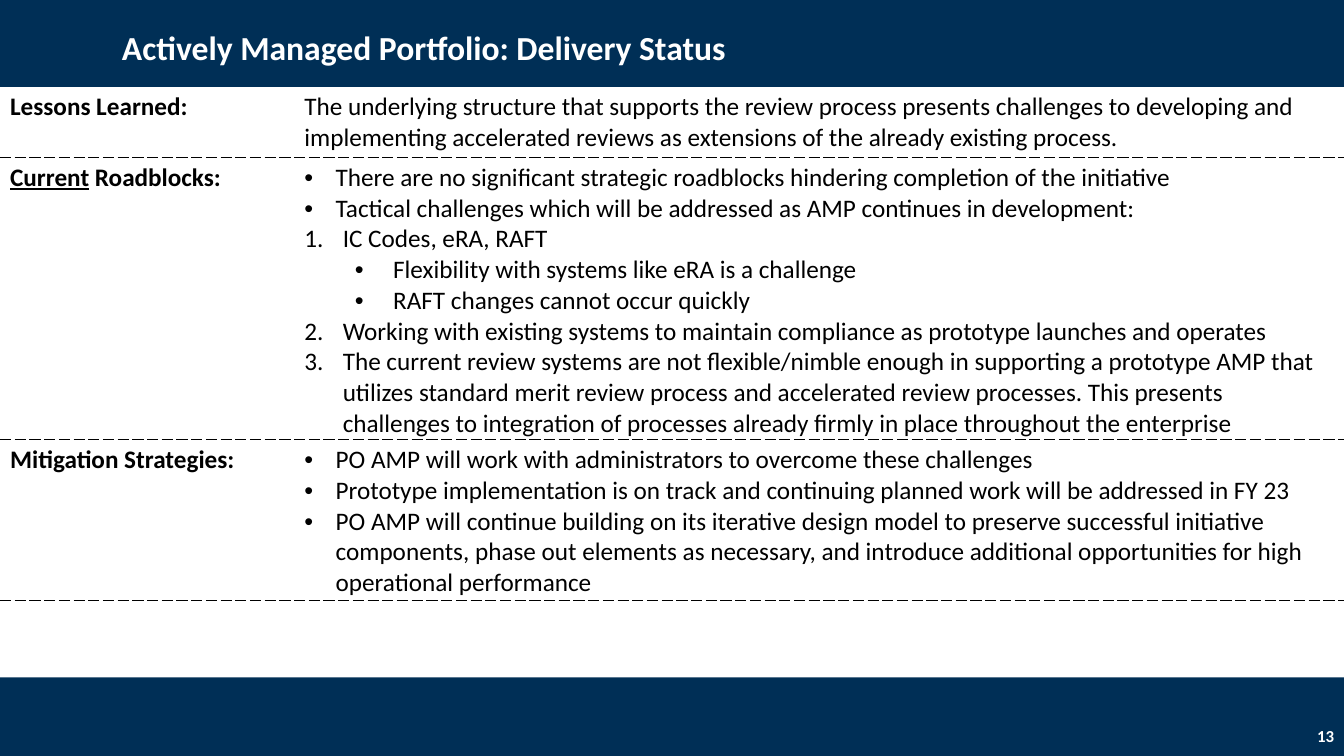
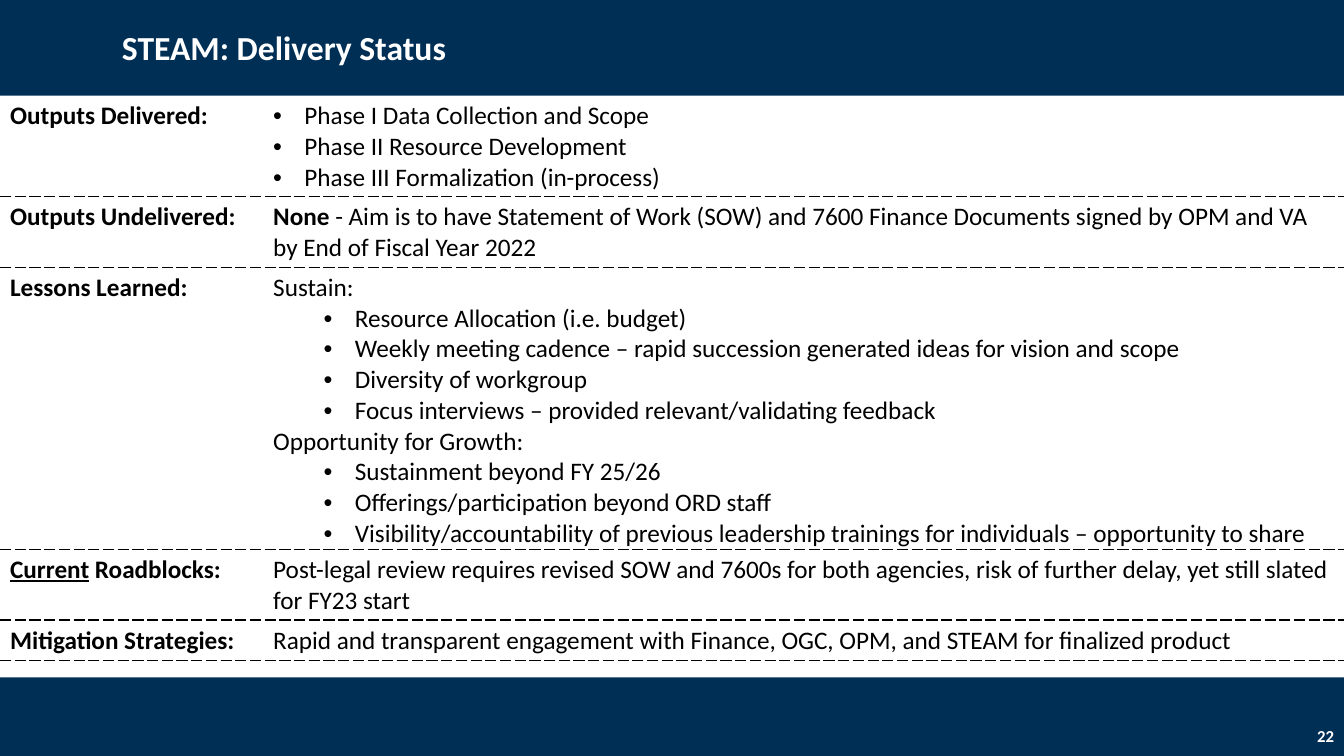
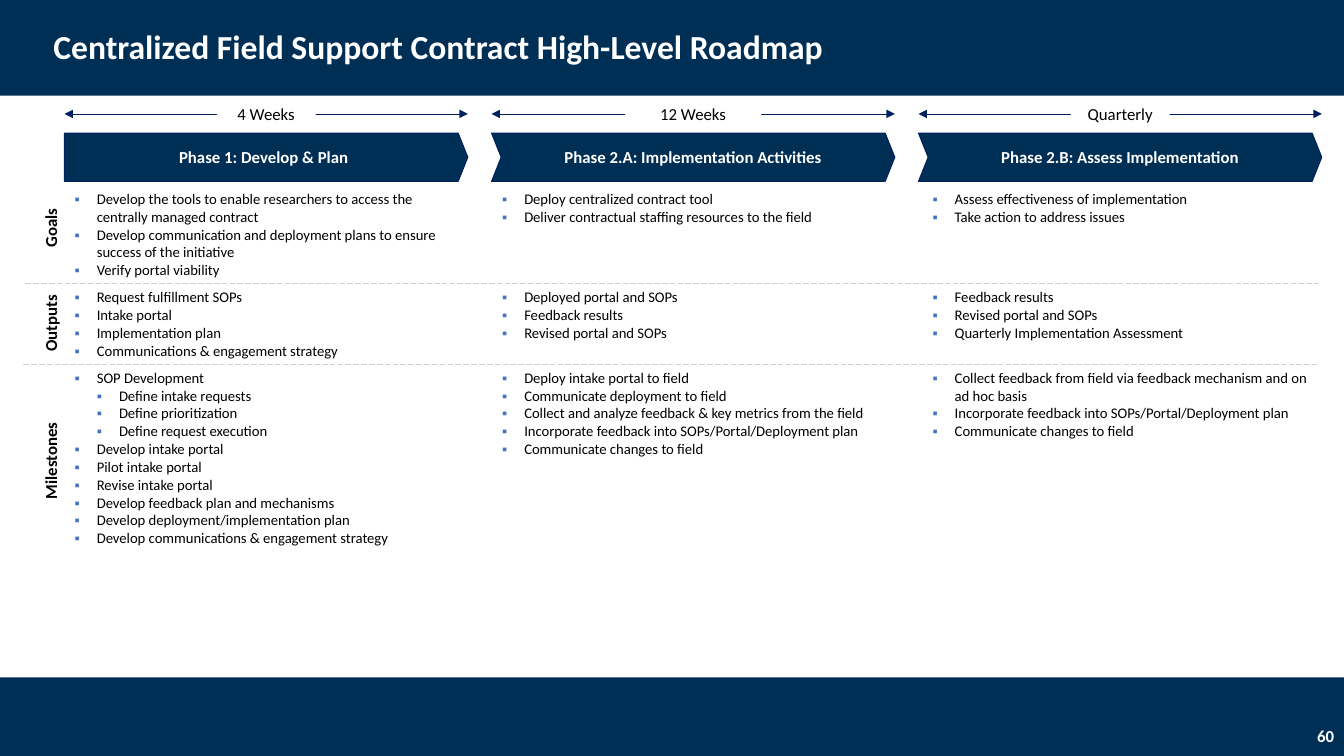
"""Build three status slides: two delivery tables and a phased roadmap."""
from dataclasses import dataclass
from typing import NamedTuple, Optional

from lxml.etree import SubElement
from pptx import Presentation
from pptx.dml.color import RGBColor
from pptx.enum.dml import MSO_LINE
from pptx.enum.shapes import MSO_CONNECTOR, MSO_SHAPE
from pptx.enum.text import MSO_ANCHOR, MSO_AUTO_SIZE, PP_ALIGN
from pptx.oxml.ns import qn
from pptx.util import Inches, Pt

W, H = 13.33, 7.5
TOP_BAND, BOTTOM_BAND = 0.95, 0.78


@dataclass(frozen=True)
class Theme:
    """Colours, font and type sizes of the deck."""
    navy: str = "002F56"
    outline: str = "002060"
    white: str = "FFFFFF"
    black: str = "000000"
    rule: str = "D0CECE"
    bullet: str = "4472C4"
    font: str = "Calibri"
    title: float = 24
    body: float = 18
    label: float = 12
    small: float = 10.5


T = Theme()


class Bullet(NamedTuple):
    """List marker with its indent, hanging width and level."""
    indent: float
    hang: float
    level: int = 0
    char: Optional[str] = "•"
    color: Optional[str] = None


DOT = Bullet(0.31, 0.31)
NUMBER = Bullet(0.38, 0.38, char=None)
NUMBER_DOT = Bullet(0.88, 0.38, 1)
SUB_DOT = Bullet(0.81, 0.31, 1)
SQUARE = Bullet(0.22, 0.22, 1, "▪", T.bullet)
SUB_SQUARE = Bullet(0.44, 0.22, 2, "▪", T.bullet)


@dataclass(frozen=True)
class Para:
    """Paragraph with an optional emphasised lead and a marker."""
    text: str
    bullet: Optional[Bullet] = None
    lead: str = ""


@dataclass(frozen=True)
class StatusRow:
    """One labelled row of a delivery table."""
    height: float
    label: Para
    body: list[Para]


@dataclass(frozen=True)
class Status:
    """One delivery status slide."""
    title: str
    number: int
    top: float
    label_width: float
    rows: list[StatusRow]


@dataclass(frozen=True)
class Phase:
    """One roadmap column."""
    name: str
    duration: str
    duration_width: float
    cells: list[list[Para]]


@dataclass(frozen=True)
class Track:
    """One roadmap row: its name, least height and label centre."""
    name: str
    height: float
    center: float


def listed(bullet: Bullet, *texts: str) -> list[Para]:
    """Give every text the same marker."""
    return [Para(text, bullet) for text in texts]


def rgb(value: str) -> RGBColor:
    """Turn a hex string into a colour."""
    return RGBColor.from_string(value)


def add_run(p, text: str, *, size: float, color: str = T.black,
            bold: bool = False, underline: bool = False) -> None:
    """Append a formatted run."""
    r = p.add_run()
    r.text = text
    r.font.name, r.font.size, r.font.bold = T.font, Pt(size), bold
    r.font.color.rgb = rgb(color)
    if underline:
        r.font.underline = True


def set_bullet(p, bullet: Bullet) -> None:
    """Add the marker and its hanging indent to a paragraph."""
    p.level = bullet.level
    ppr = p._p.get_or_add_pPr()
    ppr.set("marL", str(Inches(bullet.indent)))
    ppr.set("indent", str(-Inches(bullet.hang)))
    if bullet.color:
        SubElement(SubElement(ppr, qn("a:buClr")), qn("a:srgbClr")).set("val", bullet.color)
    SubElement(ppr, qn("a:buFont")).set("typeface", "Arial" if bullet.char else "+mj-lt")
    if bullet.char:
        SubElement(ppr, qn("a:buChar")).set("char", bullet.char)
    else:
        SubElement(ppr, qn("a:buAutoNum")).set("type", "arabicPeriod")


def fill_paras(tf, paras: list[Para], *, size: float, bold: bool = False) -> None:
    """Write paragraphs with leads: underlined in labels, bold in bodies."""
    for i, para in enumerate(paras):
        p = tf.add_paragraph() if i else tf.paragraphs[0]
        if para.bullet:
            set_bullet(p, para.bullet)
        if para.lead:
            add_run(p, para.lead, size=size, bold=True, underline=bold)
        add_run(p, para.text, size=size, bold=bold)


def set_text(sp, text: str, *, size: float = T.label, color: str = T.black,
             bold: bool = False, align=PP_ALIGN.CENTER, anchor=MSO_ANCHOR.MIDDLE) -> None:
    """Write a single line in a shape."""
    tf = sp.text_frame
    tf.word_wrap = True
    tf.vertical_anchor = anchor
    p = tf.paragraphs[0]
    p.alignment = align
    add_run(p, text, size=size, color=color, bold=bold)


def add_box(s, kind, x: float, y: float, w: float, h: float, *,
            fill: str, line: Optional[str] = None):
    """Add a flat preset shape."""
    sp = s.shapes.add_shape(kind, Inches(x), Inches(y), Inches(w), Inches(h))
    sp.shadow.inherit = False
    sp.fill.solid()
    sp.fill.fore_color.rgb = rgb(fill)
    if line:
        sp.line.color.rgb = rgb(line)
        sp.line.width = Pt(0.75)
    else:
        sp.line.fill.background()
    return sp


def add_line(s, x: float, y: float, width: float, *, color: str,
             arrows: bool = False) -> None:
    """Add a level line, either dashed or with two arrowheads."""
    cx = s.shapes.add_connector(MSO_CONNECTOR.STRAIGHT, Inches(x), Inches(y),
                                Inches(x + width), Inches(y))
    cx.line.color.rgb = rgb(color)
    cx.line.width = Pt(0.5)
    if arrows:
        ln = cx.line._get_or_add_ln()
        for end in ("a:headEnd", "a:tailEnd"):
            SubElement(ln, qn(end)).set("type", "triangle")
    else:
        cx.line.dash_style = MSO_LINE.LONG_DASH
    SubElement(cx._element.spPr, qn("a:effectLst"))


def set_borders(cell, dashed: str = "") -> None:
    """Dash the named sides of a cell and clear the others."""
    tcpr = cell._tc.get_or_add_tcPr()
    for side in "LRTB":
        ln = SubElement(tcpr, qn(f"a:ln{side}"))
        ln.set("w", str(Pt(1)))
        if side in dashed:
            SubElement(SubElement(ln, qn("a:solidFill")), qn("a:srgbClr")).set("val", T.black)
            SubElement(ln, qn("a:prstDash")).set("val", "dash")
        else:
            SubElement(ln, qn("a:noFill"))


def add_grid(s, x: float, y: float, cols: list[float], rows: list[float]):
    """Add an unstyled table with the given column and row sizes."""
    table = s.shapes.add_table(len(rows), len(cols), Inches(x), Inches(y),
                               Inches(sum(cols)), Inches(sum(rows))).table
    table.first_row = table.horz_banding = False
    for tracks, sizes, name in ((table.columns, cols, "width"), (table.rows, rows, "height")):
        for track, size in zip(tracks, sizes):
            setattr(track, name, Inches(size))
    return table


def share_bands(s) -> None:
    """Place the top and bottom bands on the slide's layout."""
    tree = s.slide_layout.shapes.element
    for y, h in ((0, TOP_BAND), (H - BOTTOM_BAND, BOTTOM_BAND)):
        band = add_box(s, MSO_SHAPE.RECTANGLE, 0, y, W, h, fill=T.navy)
        tree.insert(2, band.element)


def add_slide(prs, title: str, number: int, *, x: float = 1.11, y: float = 0.12):
    """Add a title-only slide with its title and page number."""
    s = prs.slides.add_slide(prs.slide_layouts[5])
    sp = s.shapes.title
    sp.left, sp.top, sp.width, sp.height = (Inches(v) for v in (x, y, 11.5, 0.74))
    set_text(sp, title, size=T.title, color=T.white, bold=True, align=PP_ALIGN.LEFT)
    sp.text_frame.auto_size = MSO_AUTO_SIZE.NONE
    sp.text_frame.paragraphs[0].line_spacing = 0.9
    page = s.shapes.add_textbox(Inches(W - 3), Inches(H - 0.4), Inches(3), Inches(0.4))
    set_text(page, str(number), color=T.white, bold=True, align=PP_ALIGN.RIGHT)
    return s


def add_status(prs, status: Status):
    """Draw a delivery status slide."""
    s = add_slide(prs, status.title, status.number)
    table = add_grid(s, 0, status.top, [status.label_width, W - status.label_width],
                     [row.height for row in status.rows])
    for i, row in enumerate(status.rows):
        for j, paras in enumerate(([row.label], row.body)):
            cell = table.cell(i, j)
            set_borders(cell, "TB" if i else "B")
            cell.fill.solid()
            cell.fill.fore_color.rgb = rgb(T.white)
            fill_paras(cell.text_frame, paras, size=T.body, bold=j == 0)
    return s


def add_roadmap(prs, phases: list[Phase], tracks: list[Track]) -> None:
    """Draw the roadmap slide on a grid of phases and tracks."""
    s = add_slide(prs, "Centralized Field Support Contract High-Level Roadmap", 60,
                  x=0.43, y=0.11)
    left, width, pitch = 0.64, 4, 4.235
    for x, y in ((0.25, 2.81), (0.23, 3.61)):
        add_line(s, x, y, 12.83, color=T.rule)
    for i, phase in enumerate(phases):
        x = left + i * pitch
        add_line(s, x, 1.13, width, color=T.outline, arrows=True)
        tag = add_box(s, MSO_SHAPE.RECTANGLE, x + (width - phase.duration_width) / 2, 0.98,
                      phase.duration_width, 0.3, fill=T.white)
        set_text(tag, phase.duration, anchor=MSO_ANCHOR.TOP)
        kind = MSO_SHAPE.CHEVRON if i else MSO_SHAPE.PENTAGON
        arrow = add_box(s, kind, x, 1.32, width, 0.48, fill=T.navy, line=T.outline)
        arrow.adjustments[0] = 0.2
        set_text(arrow, phase.name, color=T.white, bold=True)
    table = add_grid(s, left, 1.84, [4, 0.23, 3.89, 0.38, 3.99], [t.height for t in tracks])
    for cell in table.iter_cells():
        set_borders(cell)
        cell.fill.background()
    for j, phase in enumerate(phases):
        for i, paras in enumerate(phase.cells):
            fill_paras(table.cell(i, 2 * j).text_frame, paras, size=T.small)
    for track in tracks:
        w, h = 1.34, 0.3
        tb = s.shapes.add_textbox(Inches(0.5 - w / 2), Inches(track.center - h / 2),
                                  Inches(w), Inches(h))
        tb.rotation = 270
        set_text(tb, track.name, bold=True, anchor=MSO_ANCHOR.TOP)


ROADBLOCKS = Para(" Roadblocks:", lead="Current")
LESSONS = Para("Lessons Learned:")
MITIGATION = Para("Mitigation Strategies:")

PORTFOLIO = Status("Actively Managed Portfolio: Delivery Status", 13, 0.86, 2.92, [
    StatusRow(0.67, LESSONS, [Para(
        "The underlying structure that supports the review process presents challenges to "
        "developing and implementing accelerated reviews as extensions of the already "
        "existing process.")]),
    StatusRow(2.4, ROADBLOCKS, [
        *listed(DOT,
                "There are no significant strategic roadblocks hindering completion of the initiative",
                "Tactical challenges which will be addressed as AMP continues in development:"),
        Para("IC Codes, eRA, RAFT", NUMBER),
        *listed(NUMBER_DOT, "Flexibility with systems like eRA is a challenge",
                "RAFT changes cannot occur quickly"),
        *listed(NUMBER,
                "Working with existing systems to maintain compliance as prototype launches and operates",
                "The current review systems are not flexible/nimble enough in supporting a "
                "prototype AMP that utilizes standard merit review process and accelerated review "
                "processes. This presents challenges to integration of processes already firmly "
                "in place throughout the enterprise")]),
    StatusRow(0.96, MITIGATION, listed(
        DOT, "PO AMP will work with administrators to overcome these challenges",
        "Prototype implementation is on track and continuing planned work will be addressed in FY 23",
        "PO AMP will continue building on its iterative design model to preserve successful "
        "initiative components, phase out elements as necessary, and introduce additional "
        "opportunities for high operational performance")),
])

STEAM = Status("STEAM: Delivery Status", 22, TOP_BAND, 2.61, [
    StatusRow(0.86, Para("Outputs Delivered:"), listed(
        DOT, "Phase I Data Collection and Scope", "Phase II Resource Development",
        "Phase III Formalization (in-process)")),
    StatusRow(0.6, Para("Outputs Undelivered:"), [Para(
        " - Aim is to have Statement of Work (SOW) and 7600 Finance Documents signed by OPM "
        "and VA by End of Fiscal Year 2022", lead="None")]),
    StatusRow(2.67, LESSONS, [
        Para("Sustain:"),
        *listed(SUB_DOT, "Resource Allocation (i.e. budget)",
                "Weekly meeting cadence – rapid succession generated ideas for vision and scope",
                "Diversity of workgroup",
                "Focus interviews – provided relevant/validating feedback"),
        Para("Opportunity for Growth:"),
        *listed(SUB_DOT, "Sustainment beyond FY 25/26",
                "Offerings/participation beyond ORD staff",
                "Visibility/accountability of previous leadership trainings for individuals – "
                "opportunity to share")]),
    StatusRow(0.6, ROADBLOCKS, [Para(
        "Post-legal review requires revised SOW and 7600s for both agencies, risk of further "
        "delay, yet still slated for FY23 start")]),
    StatusRow(0.34, MITIGATION, [Para(
        "Rapid and transparent engagement with Finance, OGC, OPM, and STEAM for finalized product")]),
])

TRACKS = [Track("Goals", 0.53, 2.26), Track("Outputs", 0.67, 3.21), Track("Milestones", 0.76, 4.57)]

PHASES = [
    Phase("Phase 1: Develop & Plan", "4 Weeks", 0.98, [
        listed(SQUARE,
               "Develop the tools to enable researchers to access the centrally managed contract",
               "Develop communication and deployment plans to ensure success of the initiative",
               "Verify portal viability"),
        listed(SQUARE, "Request fulfillment SOPs", "Intake portal", "Implementation plan",
               "Communications & engagement strategy"),
        [Para("SOP Development", SQUARE),
         *listed(SUB_SQUARE, "Define intake requests", "Define prioritization",
                 "Define request execution"),
         *listed(SQUARE, "Develop intake portal", "Pilot intake portal", "Revise intake portal",
                 "Develop feedback plan and mechanisms",
                 "Develop deployment/implementation plan",
                 "Develop communications & engagement strategy")]]),
    Phase("Phase 2.A: Implementation Activities", "12 Weeks", 1.35, [
        listed(SQUARE, "Deploy centralized contract tool",
               "Deliver contractual staffing resources to the field"),
        listed(SQUARE, "Deployed portal and SOPs", "Feedback results", "Revised portal and SOPs"),
        listed(SQUARE, "Deploy intake portal to field", "Communicate deployment to field",
               "Collect and analyze feedback & key metrics from the field",
               "Incorporate feedback into SOPs/Portal/Deployment plan",
               "Communicate changes to field")]),
    Phase("Phase 2.B: Assess Implementation", "Quarterly", 0.98, [
        listed(SQUARE, "Assess effectiveness of implementation", "Take action to address issues"),
        listed(SQUARE, "Feedback results", "Revised portal and SOPs",
               "Quarterly Implementation Assessment"),
        listed(SQUARE, "Collect feedback from field via feedback mechanism and on ad hoc basis",
               "Incorporate feedback into SOPs/Portal/Deployment plan",
               "Communicate changes to field")]),
]


def main() -> None:
    """Build and save the deck."""
    prs = Presentation()
    prs.slide_width, prs.slide_height = Inches(W), Inches(H)
    share_bands(add_status(prs, PORTFOLIO))
    add_status(prs, STEAM)
    add_roadmap(prs, PHASES, TRACKS)
    prs.save("out.pptx")


if __name__ == "__main__":
    main()
